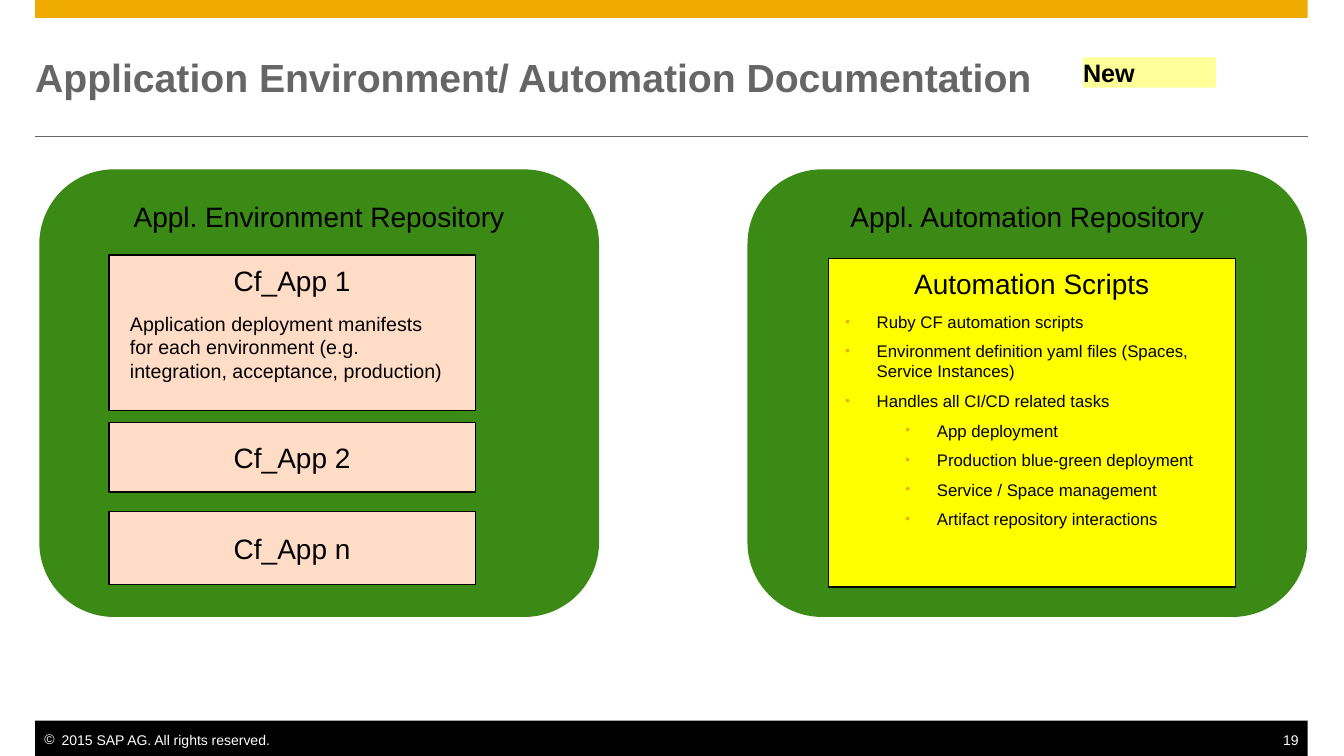
"""Build the slide on application environment and automation repositories."""
from dataclasses import dataclass

from lxml import etree
from pptx import Presentation
from pptx.dml.color import RGBColor
from pptx.enum.shapes import MSO_CONNECTOR, MSO_SHAPE
from pptx.enum.text import MSO_ANCHOR, PP_ALIGN
from pptx.oxml.ns import qn
from pptx.util import Pt

RECTANGLE = MSO_SHAPE.RECTANGLE
ROUNDED = MSO_SHAPE.ROUNDED_RECTANGLE
STRAIGHT = MSO_CONNECTOR.STRAIGHT
LEFT, CENTER, RIGHT = PP_ALIGN.LEFT, PP_ALIGN.CENTER, PP_ALIGN.RIGHT
TOP, MIDDLE = MSO_ANCHOR.TOP, MSO_ANCHOR.MIDDLE

FONT = "Arial"
ORANGE, GREEN, PEACH, YELLOW = "F0AB00", "3B8A15", "FFDCC6", "FFFF00"
PALE_YELLOW, BLACK, WHITE, GRAY = "FFFF99", "000000", "FFFFFF", "666666"
MARGIN, CONTENT_WIDTH = 25.2, 909.4
NO_INSETS = (0, 0, 0, 0)
SHAPE_INSETS = (7.2, 5.7, 7.2, 5.7)


@dataclass(frozen=True)
class Style:
    size: float
    color: str = BLACK
    bold: bool = False
    align: PP_ALIGN = LEFT
    anchor: MSO_ANCHOR = TOP
    insets: tuple[float, ...] = NO_INSETS
    wrap: bool = True


@dataclass(frozen=True)
class Bullet:
    symbol: str
    color: str
    percent: int
    margin: float
    hanging: float
    level: int = 0


@dataclass(frozen=True)
class Block:
    left: float
    top: float
    width: float
    height: float
    style: Style
    lines: tuple[str, ...] = ()
    bullets: tuple[Bullet, ...] = ()
    fill: str | None = None
    outline: str | None = None
    geometry: MSO_SHAPE = RECTANGLE


HEADING = Style(20, align=CENTER, insets=SHAPE_INSETS)
CENTERED = Style(20, align=CENTER, anchor=MIDDLE, insets=SHAPE_INSETS)
TITLE = Style(28, GRAY, bold=True, anchor=MIDDLE)
TAG = Style(18, bold=True)
COPYRIGHT = Style(10, WHITE, insets=(6.5, 0, 0, 0), wrap=False)
PAGE_NUMBER = Style(10, WHITE, align=RIGHT, insets=(0, 0, 6.5, 0), wrap=False)

COPYRIGHT_SIGN = Bullet("©", WHITE, 100, 12.4, 12.4)
TASK = Bullet("•", ORANGE, 80, 22.5, 22.5)
SUBTASK = Bullet("•", ORANGE, 80, 65.5, 22.5, level=1)

TASKS = (
    "Ruby CF automation scripts",
    "Environment definition yaml files (Spaces, Service Instances)",
    "Handles all CI/CD related tasks",
)
SUBTASKS = (
    "App deployment",
    "Production blue-green deployment",
    "Service / Space management",
    "Artifact repository interactions",
)
PANELS = ((28.1, "Appl. Environment Repository"), (534.2, "Appl. Automation Repository"))
APPS = (
    ("Cf_App 1", 182.2, 110.9, HEADING),
    ("Cf_App 2", 301.7, 49.7, CENTERED),
    ("Cf_App n", 365.3, 52.3, CENTERED),
)

BLOCKS = [
    Block(MARGIN, 0, CONTENT_WIDTH, 12.8, HEADING, fill=ORANGE),
    Block(MARGIN, 514.8, CONTENT_WIDTH, 25.2, HEADING, fill=BLACK),
    Block(MARGIN, 522.7, 170.6, 12.2, COPYRIGHT,
          ("2015 SAP AG. All rights reserved.",), (COPYRIGHT_SIGN,)),
    Block(915.1, 522.7, 19.5, 12.2, PAGE_NUMBER, ("19",)),
    Block(MARGIN, 25.2, CONTENT_WIDTH, 59.8, TITLE,
          ("Application Environment/ Automation Documentation",)),
    *(Block(left, 121, 400, 319.7, HEADING, (label,), fill=GREEN, geometry=ROUNDED)
      for left, label in PANELS),
    Block(591.9, 184.6, 290.9, 234.7, HEADING, ("Automation Scripts",),
          fill=YELLOW, outline=BLACK),
    *(Block(77.8, top, 262.1, height, style, (label,), fill=PEACH, outline=BLACK)
      for label, top, height, style in APPS),
    Block(92.9, 222.5, 228.2, 76.3, Style(14),
          ("Application deployment manifests for each environment "
           "(e.g. integration, acceptance, production)",)),
    Block(604.1, 222.5, 264.2, 159.8, Style(12), TASKS + SUBTASKS,
          (TASK,) * len(TASKS) + (SUBTASK,) * len(SUBTASKS)),
    Block(774, 41, 95, 21.6, TAG, ("New",), fill=PALE_YELLOW),
]


def rgb(value: str) -> RGBColor:
    return RGBColor.from_string(value)


def add_bullet(para, bullet: Bullet) -> None:
    para.level = bullet.level
    properties = para._p.get_or_add_pPr()
    properties.set("marL", str(Pt(bullet.margin)))
    properties.set("indent", str(-Pt(bullet.hanging)))
    color = etree.SubElement(properties, qn("a:buClr"))
    etree.SubElement(color, qn("a:srgbClr"), val=bullet.color)
    etree.SubElement(properties, qn("a:buSzPct"), val=str(bullet.percent * 1000))
    etree.SubElement(properties, qn("a:buFont"), typeface=FONT)
    etree.SubElement(properties, qn("a:buChar"), char=bullet.symbol)


def write_text(box, block: Block) -> None:
    style, frame = block.style, box.text_frame
    frame.text = "\n".join(block.lines)
    frame.word_wrap = style.wrap
    frame.vertical_anchor = style.anchor
    (frame.margin_left, frame.margin_top,
     frame.margin_right, frame.margin_bottom) = map(Pt, style.insets)
    for para, bullet in zip(frame.paragraphs, block.bullets):
        add_bullet(para, bullet)
    for index, para in enumerate(frame.paragraphs):
        para.alignment = style.align
        para.space_before = Pt(6.7 if index else 0)
        for span in para.runs:
            span.font.name = FONT
            span.font.size = Pt(style.size)
            span.font.bold = style.bold
            span.font.color.rgb = rgb(style.color)


def draw_block(page, block: Block) -> None:
    frame = [Pt(length) for length in (block.left, block.top, block.width, block.height)]
    if block.fill:
        box = page.shapes.add_shape(block.geometry, *frame)
        box.shadow.inherit = False
        box.fill.solid()
        box.fill.fore_color.rgb = rgb(block.fill)
        if block.outline:
            box.line.color.rgb = rgb(block.outline)
            box.line.width = Pt(1)
        else:
            box.line.fill.background()
    else:
        box = page.shapes.add_textbox(*frame)
    if block.lines:
        write_text(box, block)


def draw_title_rule(page) -> None:
    rule = page.shapes.add_connector(
        STRAIGHT, Pt(MARGIN), Pt(97.2), Pt(MARGIN + CONTENT_WIDTH), Pt(97.2))
    rule.line.color.rgb = rgb(GRAY)
    rule.line.width = Pt(0.5)
    etree.SubElement(rule._element.spPr, qn("a:effectLst"))


def main() -> None:
    deck = Presentation()
    deck.slide_width, deck.slide_height = Pt(960.5), Pt(540)
    page = deck.slides.add_slide(deck.slide_layouts[6])
    draw_title_rule(page)
    for block in BLOCKS:
        draw_block(page, block)
    deck.save("out.pptx")


if __name__ == "__main__":
    main()
